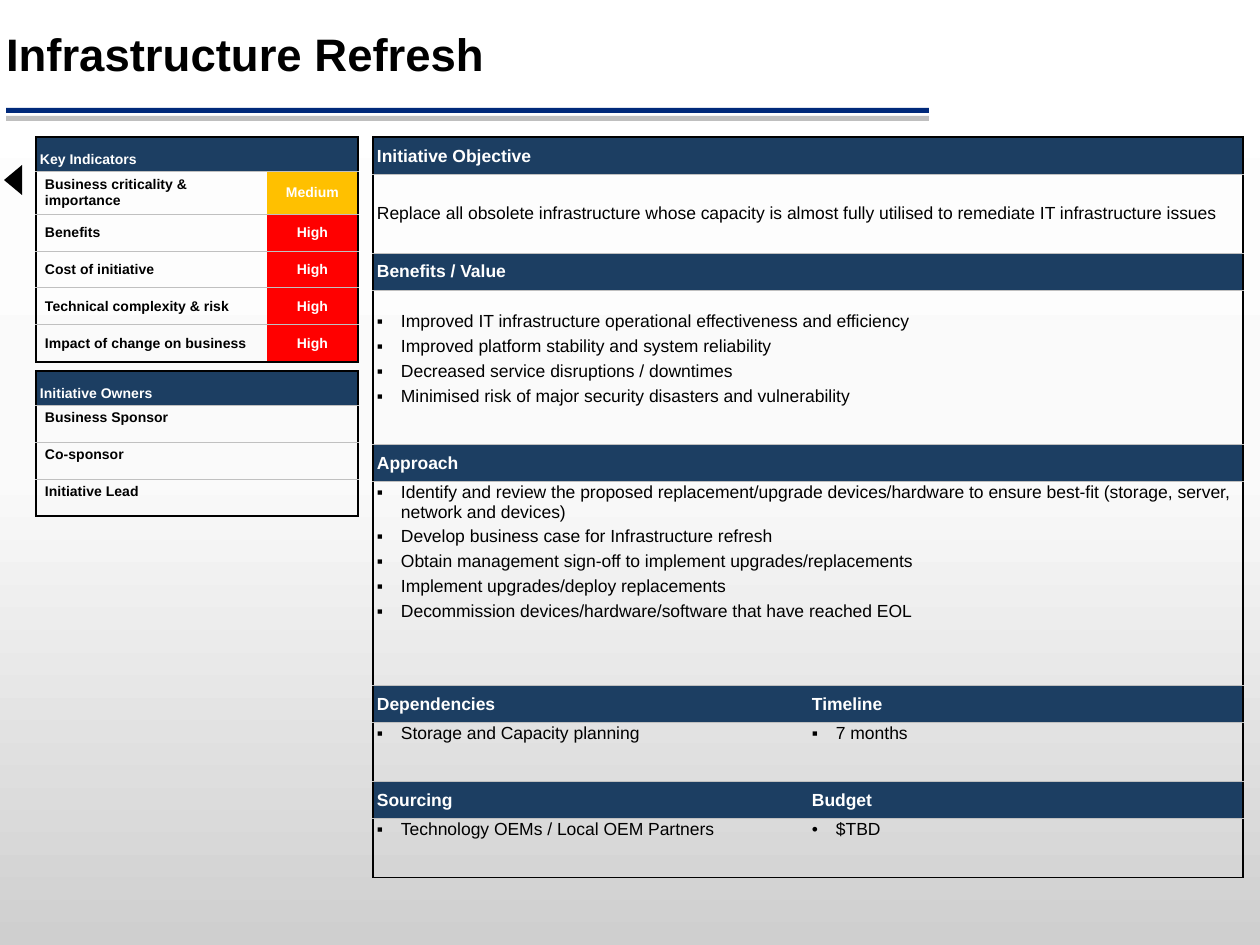
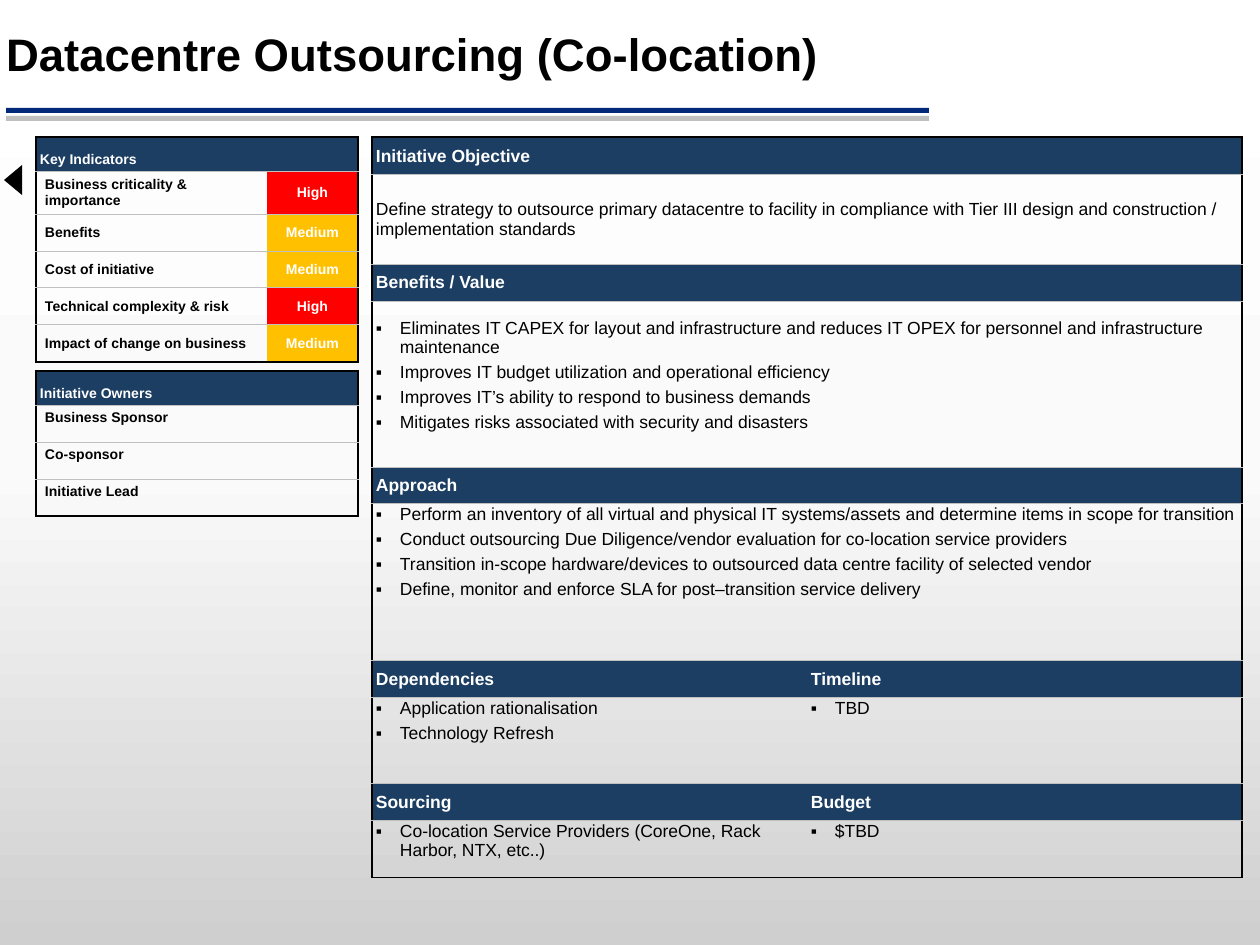
from dataclasses import dataclass

from lxml.etree import SubElement
from pptx import Presentation
from pptx.dml.color import RGBColor
from pptx.enum.shapes import MSO_SHAPE
from pptx.enum.text import MSO_ANCHOR, MSO_AUTO_SIZE, PP_ALIGN
from pptx.oxml import parse_xml
from pptx.oxml.ns import nsdecls, qn
from pptx.util import Emu, Pt

PX_PER_INCH = 126
HEADER_HEIGHT = 37


@dataclass(frozen=True)
class Theme:
    font: str = "Arial"
    black: str = "000000"
    white: str = "FFFFFF"
    navy: str = "1C3E62"
    rule_blue: str = "00297A"
    rule_grey: str = "BFBFBF"
    grid: str = "C0C0C0"
    red: str = "FF0000"
    amber: str = "FFC000"
    backdrop: tuple = ((0, "CFCFCF"), (50, "FAFAFA"), (100, "FFFFFF"))
    title_size: int = 26
    body_size: int = 10
    side_size: int = 8
    outer_line: float = 1
    inner_line: float = 0.5
    plain_table: str = "{2D5ABB26-0587-4C30-8999-92F81FD0307C}"


THEME = Theme()
RATING_FILLS = {"High": THEME.red, "Medium": THEME.amber}
INDICATORS = ["Business criticality & importance", "Benefits", "Cost of initiative",
              "Technical complexity & risk", "Impact of change on business"]
OWNERS = ["Business Sponsor", "Co-sponsor", "Initiative Lead"]


@dataclass
class Initiative:
    title: str
    ratings: list
    detail_left: int
    body_heights: list
    objective: str
    benefits: list
    approach: list
    dependencies: list
    timeline: list
    sourcing: list
    budget: list
    budget_mark: str = "▪"


INITIATIVES = [
    Initiative(
        title="Infrastructure Refresh",
        ratings=["Medium", "High", "High", "High", "High"],
        detail_left=373,
        body_heights=[79, 155, 204, 59, 59],
        objective="Replace all obsolete infrastructure whose capacity is almost fully utilised "
                  "to remediate IT infrastructure issues",
        benefits=["Improved IT infrastructure operational effectiveness and efficiency",
                  "Improved platform stability and system reliability",
                  "Decreased service disruptions / downtimes",
                  "Minimised risk of major security disasters and vulnerability"],
        approach=["Identify and review the proposed replacement/upgrade devices/hardware to ensure "
                  "best-fit (storage, server, network and devices)",
                  "Develop business case for Infrastructure refresh",
                  "Obtain management sign-off to implement upgrades/replacements",
                  "Implement upgrades/deploy replacements",
                  "Decommission devices/hardware/software that have reached EOL"],
        dependencies=["Storage and Capacity planning"],
        timeline=["7 months"],
        sourcing=["Technology OEMs / Local OEM Partners"],
        budget=["$TBD"],
        budget_mark="•",
    ),
    Initiative(
        title="Datacentre Outsourcing (Co-location)",
        ratings=["High", "Medium", "Medium", "High", "Medium"],
        detail_left=372,
        body_heights=[90, 166, 157, 86, 57],
        objective="Define strategy to outsource primary datacentre to facility in compliance with "
                  "Tier III design and construction / implementation standards",
        benefits=["Eliminates IT CAPEX for layout and infrastructure and reduces IT OPEX for "
                  "personnel and infrastructure maintenance",
                  "Improves IT budget utilization and operational efficiency",
                  "Improves IT’s ability to respond to business demands",
                  "Mitigates risks associated with security and disasters"],
        approach=["Perform an inventory of all virtual and physical IT systems/assets and "
                  "determine items in scope for transition",
                  "Conduct outsourcing Due Diligence/vendor evaluation for co-location service "
                  "providers",
                  "Transition in-scope hardware/devices to outsourced data centre facility of "
                  "selected vendor",
                  "Define, monitor and enforce SLA for post–transition service delivery"],
        dependencies=["Application rationalisation", "Technology Refresh"],
        timeline=["TBD"],
        sourcing=["Co-location Service Providers (CoreOne, Rack Harbor, NTX, etc..)"],
        budget=["$TBD"],
    ),
]


def px(length):
    return Emu(round(length * 914400 / PX_PER_INCH))


def rgb(colour):
    return RGBColor.from_string(colour)


def set_insets(holder, insets):
    """Set left, top, right and bottom margins of a cell or text frame."""
    for side, inset in zip(("left", "top", "right", "bottom"), insets):
        setattr(holder, f"margin_{side}", px(inset))


def write(frame, lines, size, colour=THEME.black, bold=False, align=PP_ALIGN.LEFT,
          bullet=None, space_after=0, line_spacing=None):
    for index, line in enumerate(lines):
        para = frame.add_paragraph() if index else frame.paragraphs[0]
        para.alignment = align
        para.space_before = Pt(0)
        para.space_after = Pt(space_after)
        if line_spacing:
            para.line_spacing = line_spacing
        if bullet:
            props = para._p.get_or_add_pPr()
            props.set("marL", str(px(24)))
            props.set("indent", str(px(-24)))
            SubElement(props, qn("a:buFont"), typeface=THEME.font)
            SubElement(props, qn("a:buChar"), char=bullet)
        if not line:
            SubElement(para._p, qn("a:endParaRPr"), sz=str(size * 100))
            continue
        span = para.add_run()
        span.text = line
        span.font.name = THEME.font
        span.font.size = Pt(size)
        span.font.bold = bold
        span.font.color.rgb = rgb(colour)


def add_filled(page, kind, box, colour):
    shape = page.shapes.add_shape(kind, *map(px, box))
    shape.shadow.inherit = False
    shape.fill.solid()
    shape.fill.fore_color.rgb = rgb(colour)
    shape.line.fill.background()
    return shape


def add_grid(page, left, top, widths, heights):
    """Add an unstyled table with the given column widths and row heights."""
    box = (left, top, sum(widths), sum(heights))
    table = page.shapes.add_table(len(heights), len(widths), *map(px, box)).table
    table.first_row = table.horz_banding = False
    table._tbl.tblPr.find(qn("a:tableStyleId")).text = THEME.plain_table
    for column, width in zip(table.columns, widths):
        column.width = px(width)
    for row, height in zip(table.rows, heights):
        row.height = px(height)
    return table


def set_borders(table, row, column, span):
    """Draw the black outer frame and the grey lines between rows."""
    outer = (THEME.black, THEME.outer_line)
    inner = (THEME.grid, THEME.inner_line)
    edges = {
        "lnL": outer if column == 0 else None,
        "lnR": outer if column + span == len(table.columns) else None,
        "lnT": outer if row == 0 else inner,
        "lnB": outer if row == len(table.rows) - 1 else inner,
    }
    props = table.cell(row, column)._tc.get_or_add_tcPr()
    for tag, edge in edges.items():
        if edge:
            colour, weight = edge
            line = SubElement(props, qn(f"a:{tag}"), w=str(Pt(weight)))
            SubElement(SubElement(line, qn("a:solidFill")), qn("a:srgbClr"), val=colour)


def fill_cell(table, row, column, lines, span=1, fill=None, anchor=MSO_ANCHOR.MIDDLE,
              insets=(4, 1, 1, 0), **text_format):
    cell = table.cell(row, column)
    if span > 1:
        cell.merge(table.cell(row, column + span - 1))
    for offset in range(span):
        set_borders(table, row, column + offset, span - offset)
    if fill:
        cell.fill.solid()
        cell.fill.fore_color.rgb = rgb(fill)
    else:
        cell.fill.background()
    cell.vertical_anchor = anchor
    set_insets(cell, insets)
    write(cell.text_frame, lines, **text_format)


def add_side_table(page, left, top, heading, widths, heights, rows, anchor):
    """Add a headed two-column table; rows hold a label and a rating, which may be empty."""
    table = add_grid(page, left, top, widths, heights)
    shared = {"size": THEME.side_size, "bold": True}
    fill_cell(table, 0, 0, [heading], span=2, fill=THEME.navy, anchor=MSO_ANCHOR.BOTTOM,
              insets=(4, 4, 4, 4), colour=THEME.white, **shared)
    shared |= {"anchor": anchor, "insets": (9, 5, 9, 5)}
    for row, (label, rating) in enumerate(rows, 1):
        fill_cell(table, row, 0, [label], **shared)
        fill_cell(table, row, 1, [rating], fill=RATING_FILLS.get(rating),
                  colour=THEME.white, align=PP_ALIGN.CENTER, **shared)


def add_detail_table(page, left, top, initiative):
    heights = [part for body in initiative.body_heights for part in (HEADER_HEIGHT, body)]
    table = add_grid(page, left, top, [435, 435], heights)
    points = {"bullet": "▪", "space_after": 3, "anchor": MSO_ANCHOR.TOP}
    raised = points | {"anchor": MSO_ANCHOR.MIDDLE, "insets": (4, 1, 1, 18)}
    budget_points = points | {"bullet": initiative.budget_mark}
    sections = [
        [("Initiative Objective", [initiative.objective], {})],
        [("Benefits / Value", initiative.benefits, raised)],
        [("Approach", initiative.approach, points)],
        [("Dependencies", initiative.dependencies, points),
         ("Timeline", initiative.timeline, points)],
        [("Sourcing", initiative.sourcing, points),
         ("Budget", initiative.budget, budget_points)],
    ]
    for index, section in enumerate(sections):
        span = 2 // len(section)
        for column, (heading, lines, body_format) in enumerate(section):
            shared = {"span": span, "size": THEME.body_size}
            fill_cell(table, 2 * index, column, [heading], fill=THEME.navy,
                      colour=THEME.white, bold=True, **shared)
            fill_cell(table, 2 * index + 1, column, lines, **shared, **body_format)


def set_backdrop(master):
    fill = master.background.fill
    fill.gradient()
    fill.gradient_angle = 90
    stops = "".join(f'<a:gs pos="{place * 1000}"><a:srgbClr val="{colour}"/></a:gs>'
                    for place, colour in THEME.backdrop)
    stop_list = next(master.element.iter(qn("a:gsLst")))
    stop_list.getparent().replace(
        stop_list, parse_xml(f'<a:gsLst {nsdecls("a")}>{stops}</a:gsLst>'))


def add_title_band(page, text):
    title = page.shapes.title
    title.left, title.top, title.width, title.height = map(px, (0, 26, 979, 62))
    frame = title.text_frame
    frame.word_wrap = True
    frame.auto_size = MSO_AUTO_SIZE.NONE
    frame.vertical_anchor = MSO_ANCHOR.MIDDLE
    set_insets(frame, (6, 6, 6, 6))
    write(frame, [text], size=THEME.title_size, bold=True, line_spacing=0.9)
    for top, colour in ((116, THEME.rule_grey), (108, THEME.rule_blue)):
        add_filled(page, MSO_SHAPE.RECTANGLE, (6, top, 923, 5), colour)


def add_initiative_page(deck, initiative):
    page = deck.slides.add_slide(deck.slide_layouts[5])
    add_title_band(page, initiative.title)
    add_side_table(page, 36, 137, "Key Indicators", [231, 91], [34, 43] + [37] * 4,
                   zip(INDICATORS, initiative.ratings), MSO_ANCHOR.MIDDLE)
    back_arrow = add_filled(page, MSO_SHAPE.ISOSCELES_TRIANGLE, (-2, 171, 30, 18), THEME.black)
    back_arrow.rotation = 270
    add_side_table(page, 36, 371, "Initiative Owners", [144, 178], [34] + [37] * 3,
                   [(owner, "") for owner in OWNERS], MSO_ANCHOR.TOP)
    add_detail_table(page, initiative.detail_left, 137, initiative)


def main():
    deck = Presentation()
    deck.slide_width, deck.slide_height = px(1260), px(945)
    set_backdrop(deck.slide_master)
    for initiative in INITIATIVES:
        add_initiative_page(deck, initiative)
    deck.save("out.pptx")


if __name__ == "__main__":
    main()
